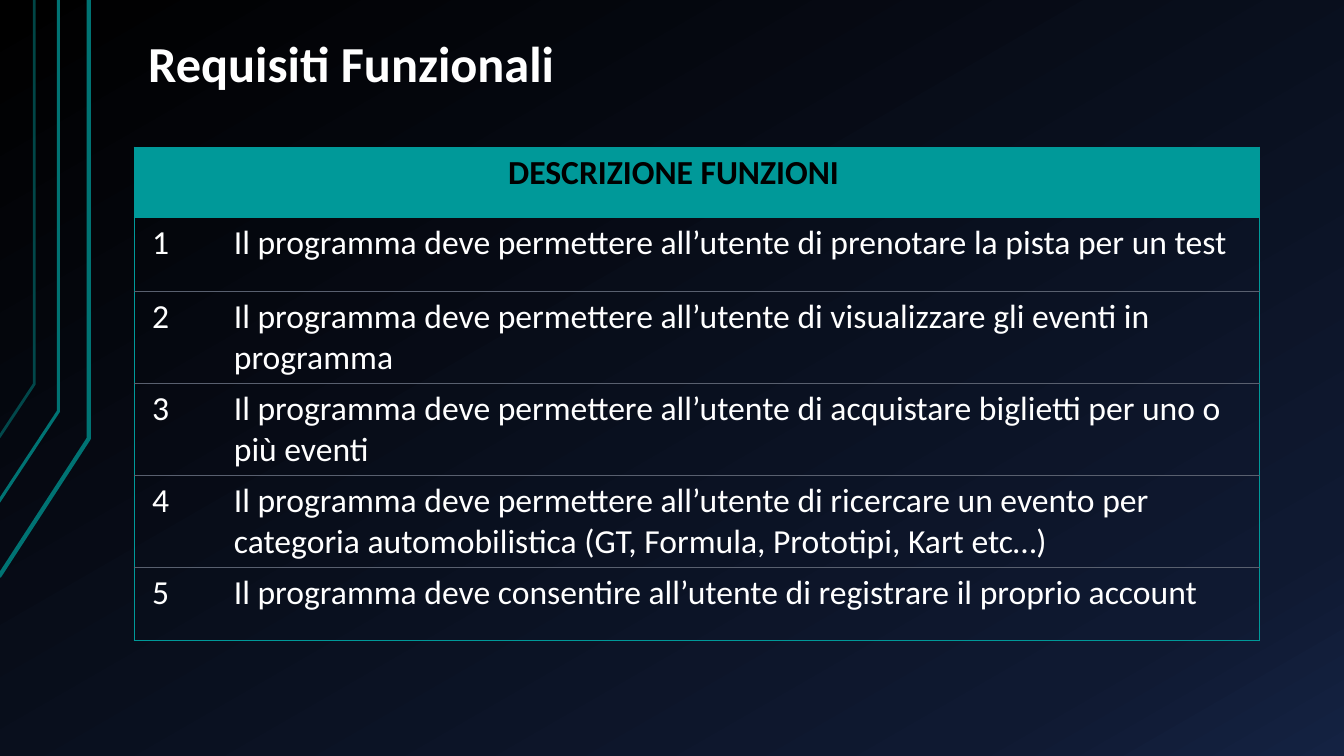
from lxml import etree
from pptx import Presentation
from pptx import util as u
from pptx.dml.color import RGBColor
from pptx.enum import text
from pptx.oxml import parse_xml
from pptx.oxml.ns import nsdecls, qn

TEAL, DARK_TEAL, GREY = "009999", "007373", "59606F"


def color(value):
    return RGBColor.from_string(value)


def write(frame, content, size=24, fill="FFFFFF", bold=False, spacing=None):
    paragraph = frame.paragraphs[0]
    paragraph.text = content
    paragraph.alignment = text.PP_ALIGN.LEFT
    paragraph.line_spacing = spacing
    font = paragraph.runs[0].font
    font.name, font.size, font.bold = "Calibri", u.Pt(size), bold
    font.color.rgb = color(fill)


presentation = Presentation()
presentation.slide_width = u.Inches(13.33)
presentation.slide_height = u.Inches(7.5)
slide = presentation.slides.add_slide(presentation.slide_layouts[5])

# Gradient background
stops = "".join(
    f'<a:gs pos="{position * 1000}"><a:srgbClr val="{value}"/></a:gs>'
    for position, value in [(0, "000000"), (85, "0F1931"), (100, "142242")])
slide.element.cSld.insert(0, parse_xml(
    f'<p:bg {nsdecls("p", "a")}><p:bgPr><a:gradFill rotWithShape="1">'
    f'<a:gsLst>{stops}</a:gsLst><a:lin ang="3600000" scaled="0"/></a:gradFill>'
    '<a:effectLst/></p:bgPr></p:bg>'))

# Bent lines on the left edge: start x, start y, bend x, bend y, width, opacity
for start_x, start_y, bend_x, bend_y, width, opacity in [
        (-0.01, 5.72, 0.88, 4.35, 3, 100),
        (-0.02, 4.99, 0.58, 4.08, 2.25, 100),
        (-0.01, 4.34, 0.34, 3.81, 2, 60)]:
    builder = slide.shapes.build_freeform(u.Inches(start_x), u.Inches(start_y))
    builder.add_line_segments([(u.Inches(bend_x), u.Inches(bend_y)),
                               (u.Inches(bend_x), 0)], close=False)
    shape = builder.convert_to_shape()
    shape.shadow.inherit = False
    shape.fill.background()
    shape.line.width = u.Pt(width)
    shape.line.color.rgb = color(DARK_TEAL)
    line_color = shape.line._get_or_add_ln().find(".//" + qn("a:srgbClr"))
    etree.SubElement(line_color, qn("a:alpha"), val=str(opacity * 1000))

# Title
title = slide.shapes.title
title.left, title.top = u.Inches(1.33), u.Inches(0.31)
title.width, title.height = u.Inches(11.33), u.Inches(0.69)
frame = title.text_frame
frame.auto_size = text.MSO_AUTO_SIZE.NONE
frame.vertical_anchor = text.MSO_ANCHOR.BOTTOM
frame.margin_left = frame.margin_right = u.Inches(0.14)
frame.margin_top = frame.margin_bottom = u.Inches(0.07)
write(frame, "Requisiti Funzionali", size=36, bold=True, spacing=0.9)

# Table of functional requirements
requirements = [
    "Il programma deve permettere all’utente di prenotare la pista per un test",
    "Il programma deve permettere all’utente di visualizzare gli eventi in programma",
    "Il programma deve permettere all’utente di acquistare biglietti per uno o più eventi",
    "Il programma deve permettere all’utente di ricercare un evento per categoria "
    "automobilistica (GT, Formula, Prototipi, Kart etc…)",
    "Il programma deve consentire all’utente di registrare il proprio account",
]
rows = [("", "DESCRIZIONE FUNZIONI")]
rows += [(str(number), item) for number, item in enumerate(requirements, 1)]
heights = [0.7, 0.73, 0.91, 0.91, 0.91, 0.72]
table = slide.shapes.add_table(
    len(rows), 2, u.Inches(1.33), u.Inches(1.46),
    u.Inches(11.16), u.Inches(sum(heights))).table
table.first_row = table.horz_banding = False
for column, width in zip(table.columns, [0.89, 10.27]):
    column.width = u.Inches(width)

last = len(rows) - 1
for row, (entries, height) in enumerate(zip(rows, heights)):
    table.rows[row].height = u.Inches(height)
    for column, entry in enumerate(entries):
        cell = table.cell(row, column)
        header = row == 0
        if header:
            cell.fill.solid()
            cell.fill.fore_color.rgb = color(TEAL)
        else:
            cell.fill.background()
        if column == 0:
            cell.margin_left = u.Inches(0.18)
        elif header:
            cell.margin_left = u.Inches(2.82)
        if entry:
            write(cell.text_frame, entry, bold=header,
                  fill="000000" if header else "FFFFFF")

        # Teal frame, grey lines between requirements, none between columns
        borders = {
            "lnL": TEAL if column == 0 else None,
            "lnR": TEAL if column == 1 else None,
            "lnT": TEAL if row <= 1 else GREY,
            "lnB": TEAL if row in (0, last) else GREY,
        }
        for place, (side, value) in enumerate(borders.items()):
            fill = (f'<a:solidFill><a:srgbClr val="{value}"/></a:solidFill>'
                    if value else "<a:noFill/>")
            cell._tc.get_or_add_tcPr().insert(place, parse_xml(
                f'<a:{side} {nsdecls("a")} w="{u.Pt(0.75)}">{fill}</a:{side}>'))

presentation.save("out.pptx")
